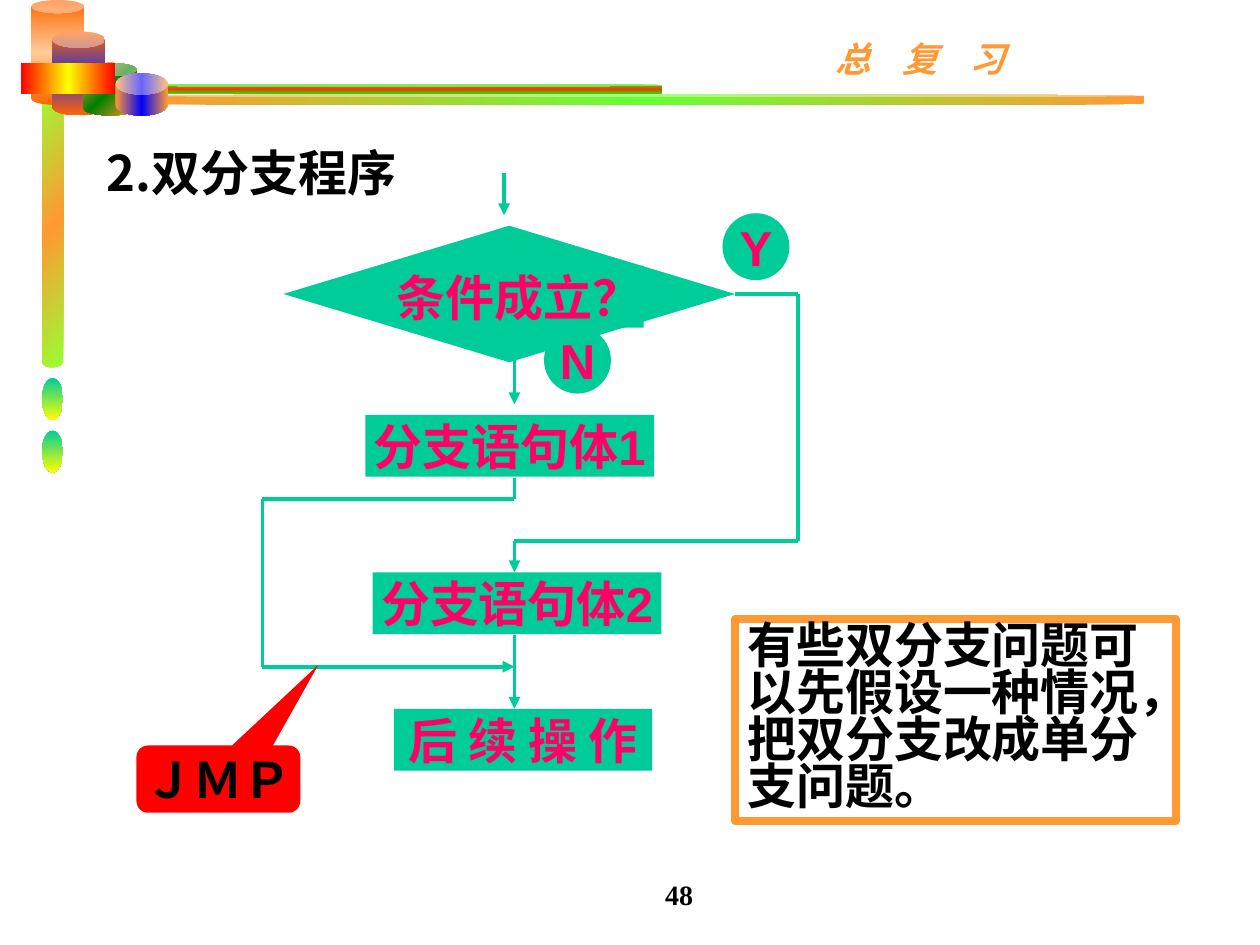
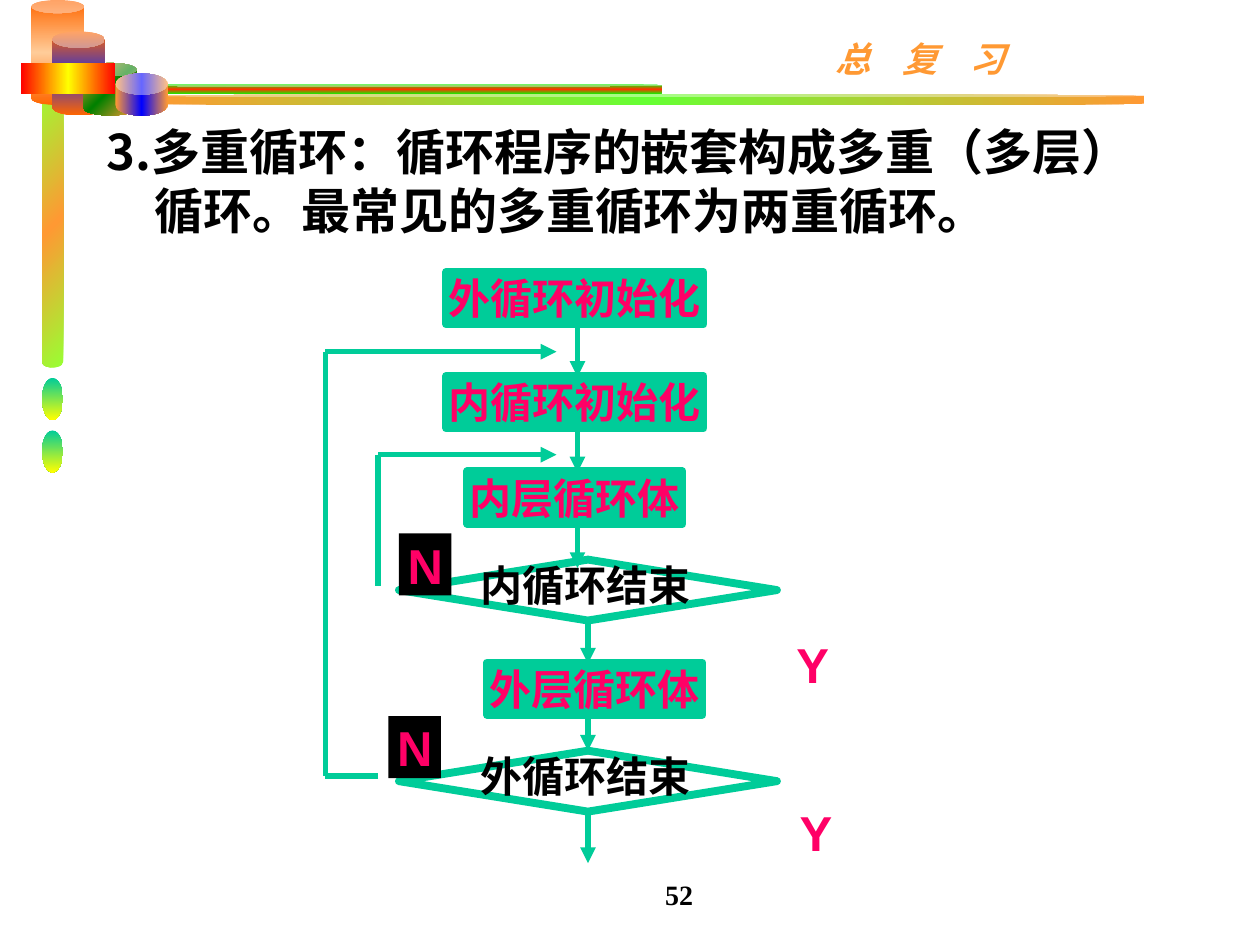
from dataclasses import dataclass
from itertools import pairwise

from lxml import etree
from pptx import Presentation
from pptx.dml.color import RGBColor
from pptx.enum.shapes import MSO_CONNECTOR, MSO_SHAPE
from pptx.enum.text import MSO_ANCHOR, PP_ALIGN
from pptx.oxml.ns import qn
from pptx.util import Emu, Inches, Pt

# Slide size and grid of 120 columns by 90 rows
WIDTH, HEIGHT = Inches(10), Inches(7.5)
COLUMN, ROW = WIDTH / 120, HEIGHT / 90

# Colours and fonts
GREEN, PINK, ORANGE = "00CC99", "FF0066", "FF9933"
BLACK, WHITE, RED = "000000", "FFFFFF", "FF0000"
ARIAL, TIMES, SANS = "Arial", "Times New Roman", "Noto Sans CJK SC"

# Enum members
CAN, RECT, OVAL = MSO_SHAPE.CAN, MSO_SHAPE.RECTANGLE, MSO_SHAPE.OVAL
DIAMOND, PROCESS = MSO_SHAPE.DIAMOND, MSO_SHAPE.FLOWCHART_PROCESS
ROUND_CALLOUT = MSO_SHAPE.ROUNDED_RECTANGULAR_CALLOUT
OVAL_CALLOUT = MSO_SHAPE.OVAL_CALLOUT
STRAIGHT = MSO_CONNECTOR.STRAIGHT
LEFT, CENTER, RIGHT = PP_ALIGN.LEFT, PP_ALIGN.CENTER, PP_ALIGN.RIGHT
TOP, MIDDLE = MSO_ANCHOR.TOP, MSO_ANCHOR.MIDDLE

Point = tuple[float, float]


@dataclass
class Ornament:
    kind: int
    box: tuple[float, float, float, float]
    colors: tuple[str, ...]
    angle: int = 0
    adjust: float = 0.25


@dataclass
class TextStyle:
    size: float = 28
    color: str = PINK
    font: str = ARIAL
    align: int = CENTER
    anchor: int = MIDDLE
    wrap: bool = False
    inset: Point = (0.02, 0.01)
    italic: bool = False
    line_spacing: float | None = None
    letter_spacing: float = 0
    hanging: float = 0


@dataclass
class Node:
    kind: int
    box: tuple[float, float, float, float]
    text: str = ""
    fill: str | None = GREEN
    line: str | None = None
    line_width: float = 4.5
    style: TextStyle | None = None
    adjust: tuple[float, ...] = ()


# Text styles
WIDE_INSET = (0.1, 0.05)
LABEL = TextStyle()
STEP = TextStyle(size=24)
TEST = TextStyle(size=24, color=BLACK)
JUMP = TextStyle(color=BLACK)
BANNER = TextStyle(20, ORANGE, TIMES, LEFT, TOP, inset=WIDE_INSET,
                   italic=True, letter_spacing=6.8)
NUMBER = TextStyle(16, BLACK, TIMES, RIGHT, TOP, inset=WIDE_INSET)
HEADING = TextStyle(28, BLACK, SANS, LEFT, TOP, True, WIDE_INSET, hanging=0.38)
REMARK = TextStyle(28, BLACK, SANS, LEFT, TOP, True, WIDE_INSET, line_spacing=0.8)

# Ornaments shared by the slides, split by the banner text
BARS = [
    Ornament(CAN, (4, 8, 2, 27), ("99FF33", ORANGE, "99FF33"), 45, 0.5),
    Ornament(CAN, (14, 9, 95, 1), (ORANGE, "66FF33", ORANGE)),
    Ornament(CAN, (12, 8, 51, 1), ("00FF00", "FF3300", "00FF00"), 90),
]
CORNER = [
    Ornament(CAN, (3, 0, 5, 10), ("FF6600", "FFCC99", "FF6600"), 90),
    Ornament(CAN, (5, 3, 5, 8), ("FF6600", "3333CC", "FF6600"), 90, 0.31),
    Ornament(CAN, (8, 6, 5, 5), (ORANGE, "008000", ORANGE), 45),
    Ornament(CAN, (11, 7, 5, 4), (ORANGE, "0000FF", ORANGE), 0, 0.5),
    Ornament(RECT, (2, 6, 9, 3), (RED, "FFFF00", RED)),
    *(Ornament(OVAL, (4, y, 2, 4), (GREEN, "FFFF00"), 90) for y in (36, 41)),
]


def rgb(color: str) -> RGBColor:
    return RGBColor.from_string(color)


def place(x: float, y: float) -> tuple[Emu, Emu]:
    return Emu(round(x * COLUMN)), Emu(round(y * ROW))


def write(shape, text: str, style: TextStyle) -> None:
    tf = shape.text_frame
    tf.text = text
    tf.word_wrap = style.wrap
    tf.vertical_anchor = style.anchor
    tf.margin_left = tf.margin_right = Inches(style.inset[0])
    tf.margin_top = tf.margin_bottom = Inches(style.inset[1])
    p = tf.paragraphs[0]
    p.alignment = style.align
    if style.line_spacing:
        p.line_spacing = style.line_spacing
    if style.hanging:
        pPr = p._p.get_or_add_pPr()
        pPr.set("marL", str(Inches(style.hanging)))
        pPr.set("indent", str(-Inches(style.hanging)))
    r = p.runs[0]
    r.font.size, r.font.bold = Pt(style.size), True
    r.font.italic = style.italic
    r.font.color.rgb = rgb(style.color)
    r.font.name = style.font
    rPr = r._r.get_or_add_rPr()
    etree.SubElement(rPr, qn("a:ea")).set("typeface", SANS)
    if style.letter_spacing:
        rPr.set("spc", str(round(style.letter_spacing * 100)))


def add_text(s, box: tuple[float, float, float, float], text: str, style: TextStyle) -> None:
    write(s.shapes.add_textbox(*place(*box[:2]), *place(*box[2:])), text, style)


def add_ornament(s, item: Ornament) -> None:
    sp = s.shapes.add_shape(item.kind, *place(*item.box[:2]), *place(*item.box[2:]))
    sp.shadow.inherit = False
    sp.line.fill.background()
    if item.kind == CAN:
        sp.adjustments[0] = item.adjust
    sp.fill.gradient()
    sp.fill.gradient_angle = -item.angle % 360
    stops = sp.element.spPr.find(".//" + qn("a:gsLst"))
    for stop in list(stops):
        stops.remove(stop)
    for i, color in enumerate(item.colors):
        stop = etree.SubElement(stops, qn("a:gs"))
        stop.set("pos", str(100000 * i // (len(item.colors) - 1)))
        etree.SubElement(stop, qn("a:srgbClr")).set("val", color)


def add_node(s, node: Node) -> None:
    sp = s.shapes.add_shape(node.kind, *place(*node.box[:2]), *place(*node.box[2:]))
    sp.shadow.inherit = False
    for i, value in enumerate(node.adjust):
        sp.adjustments[i] = value
    if node.fill:
        sp.fill.solid()
        sp.fill.fore_color.rgb = rgb(node.fill)
    else:
        sp.fill.background()
    if node.line:
        sp.line.color.rgb = rgb(node.line)
        sp.line.width = Pt(node.line_width)
    else:
        sp.line.fill.background()
    if node.text:
        write(sp, node.text, node.style or LABEL)


def add_route(s, points: list[Point], width: float, arrow: bool = True) -> None:
    """Straight lines through the points, with an arrowhead on the last."""
    for start, end in pairwise(points):
        c = s.shapes.add_connector(STRAIGHT, *place(*start), *place(*end))
        c.line.color.rgb = rgb(GREEN)
        c.line.width = Pt(width)
        spPr = c.element.spPr
        if arrow and end == points[-1]:
            etree.SubElement(spPr.find(qn("a:ln")), qn("a:tailEnd")).set("type", "triangle")
        etree.SubElement(spPr, qn("a:effectLst"))


def add_slide(prs, number: int, heading: str, heading_row: float):
    """Slide with ornaments, banner, page number and heading."""
    s = prs.slides.add_slide(prs.slide_layouts[6])
    for item in BARS:
        add_ornament(s, item)
    add_text(s, (78.4, 3, 18.5, 5.3), "总 复 习", BANNER)
    for item in CORNER:
        add_ornament(s, item)
    add_text(s, (52.8, 83, 14.4, 4.4), str(number), NUMBER)
    add_text(s, (9, heading_row, 102, 68), heading, HEADING)
    return s


def build_branch(prs) -> None:
    s = add_slide(prs, 48, "2.双分支程序", 13)
    nodes = [
        Node(DIAMOND, (27, 21.5, 43, 13)),
        Node(RECT, (37.5, 25.3, 23.8, 5.9), "条件成立？",
             style=TextStyle(font=SANS)),
        Node(OVAL, (69, 20.5, 6, 6), "Y", line=GREEN, line_width=2.25),
        Node(OVAL, (52, 31.3, 6, 6), "N", line=GREEN, line_width=2.25),
        Node(RECT, (34.8, 39.5, 27.5, 5.9), "分支语句体1"),
        Node(RECT, (35.5, 54.5, 27.5, 5.9), "分支语句体2"),
        Node(RECT, (37.5, 67.5, 24.6, 5.9), "后 续 操 作"),
    ]
    for node in nodes:
        add_node(s, node)

    # Flow lines: entry, N branch, exit, Y branch, jump over the second body
    routes = [
        [(48, 16.5), (48, 20.5)],
        [(49, 33.2), (49, 38.5)],
        [(49, 60.5), (49, 67.5)],
        [(70, 28), (76, 28), (76, 51.5), (49, 51.5), (49, 54.5)],
        [(49, 45.5), (49, 47.5), (25, 47.5), (25, 63.5), (49, 63.5)],
    ]
    for points in routes:
        add_route(s, points, 2.25)

    # Callout and remark
    add_node(s, Node(ROUND_CALLOUT, (13, 71, 15.6, 6.4), "ＪＭＰ", RED,
                     style=JUMP, adjust=(0.61, -1.7, 0.17)))
    add_node(s, Node(RECT, (70, 59, 42, 19.2),
                     "有些双分支问题可以先假设一种情况，把双分支改成单分支问题。",
                     None, ORANGE, style=REMARK))


def build_loops(prs) -> None:
    s = add_slide(
        prs, 52, "3.多重循环：循环程序的嵌套构成多重（多层）循环。最常见的多重循环为两重循环。", 11)

    # Steps: left, top, width, text
    steps = [
        (42.5, 25.9, 24.5, "外循环初始化"),
        (42.5, 35.8, 24.5, "内循环初始化"),
        (44.5, 44.9, 20.5, "内层循环体"),
        (46.4, 63.1, 20.5, "外层循环体"),
    ]
    for x, y, w, text in steps:
        add_node(s, Node(PROCESS, (x, y, w, 5), text, line=GREEN, style=STEP))

    # End tests
    for y, text in ((53.3, "内循环结束"), (71.5, "外循环结束")):
        add_node(s, Node(DIAMOND, (38, y, 36, 5.8), fill=None, line=GREEN))
        add_node(s, Node(PROCESS, (45.5, y - 0.1, 20.5, 5), text, None, style=TEST))

    # Downward arrows: column, first row, last row
    drops = [
        (55, 30.1, 35.9), (55, 40.9, 45), (55, 49.9, 54.1),
        (56, 59, 63.2), (56, 68.2, 71.5), (56, 77.3, 82.2),
    ]
    for x, y1, y2 in drops:
        add_route(s, [(x, y1), (x, y2)], 3)

    # Ways back into the inner and outer loop
    add_route(s, [(36, 55.8), (36, 43.3), (53, 43.3)], 3)
    add_route(s, [(36, 73.9), (31, 73.9), (31, 33.5), (53, 33.5)], 3)

    # Answers
    for x, y in ((38, 50.8), (37, 68.2)):
        add_node(s, Node(RECT, (x, y, 5, 5.9), "N", BLACK))
    for x, y, w, tip in ((74.9, 59, 5, (-3.85, -0.46)), (75, 75, 5.4, (-3.39, -0.19))):
        add_node(s, Node(OVAL_CALLOUT, (x, y, w, 8.4), "Y", WHITE, adjust=tip))


def main() -> None:
    prs = Presentation()
    prs.slide_width, prs.slide_height = WIDTH, HEIGHT
    build_branch(prs)
    build_loops(prs)
    prs.save("out.pptx")


if __name__ == "__main__":
    main()
